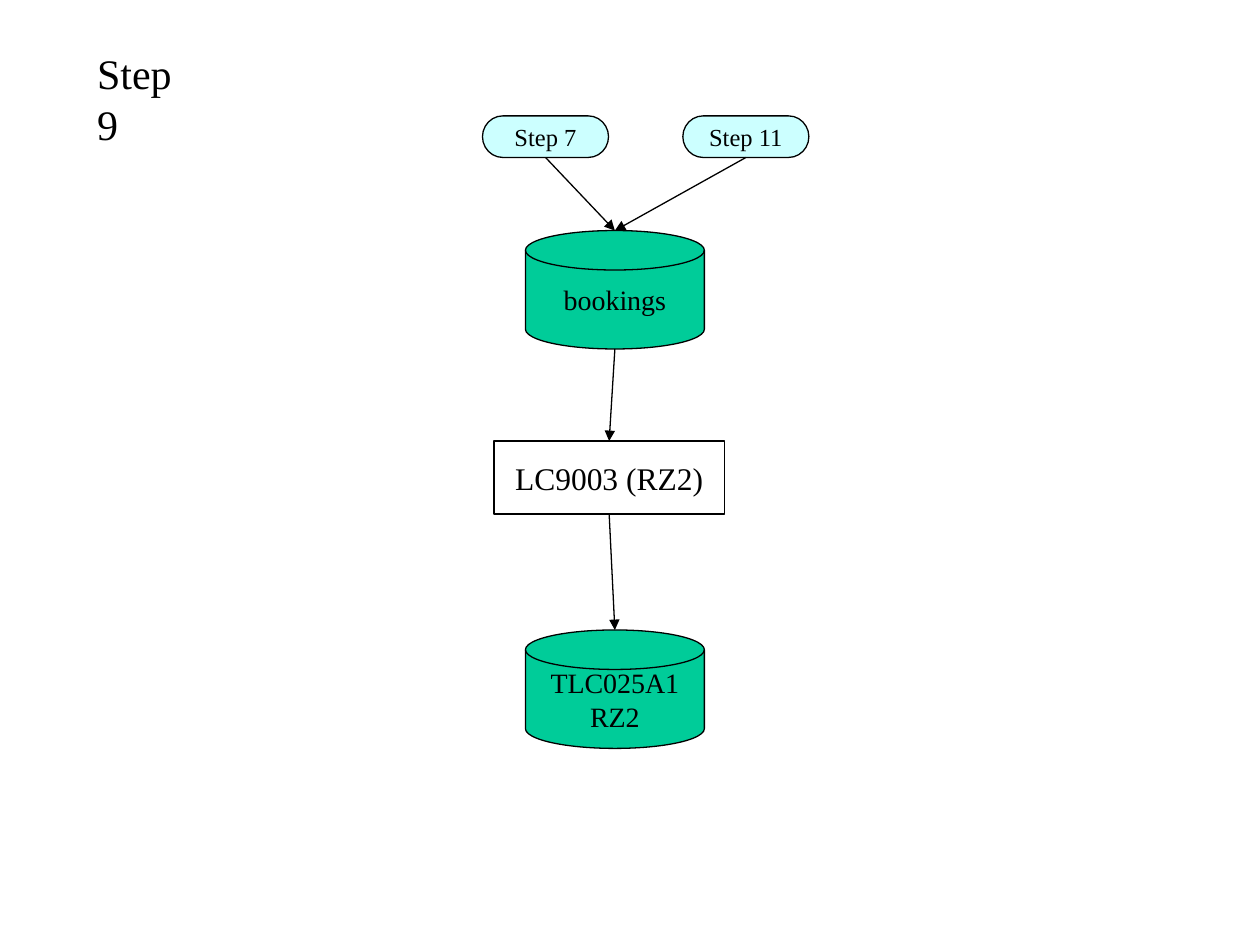
from pptx import Presentation
from pptx.dml.color import RGBColor
from pptx.enum.shapes import MSO_CONNECTOR, MSO_SHAPE
from pptx.enum.text import MSO_ANCHOR, MSO_AUTO_SIZE, PP_ALIGN
from pptx.oxml.ns import qn
from pptx.util import Inches, Pt
from lxml.etree import SubElement

FONT = "Times New Roman"
INK = "000000"
MINT = "00CC99"
PALE = "CCFFFF"


def color(code):
    """Turn a hex string into a colour."""
    return RGBColor.from_string(code)


def write(frame, lines, size, align):
    """Write each line as a paragraph of one run."""
    frame.word_wrap = False
    for i, line in enumerate(lines):
        para = frame.paragraphs[0] if i == 0 else frame.add_paragraph()
        para.alignment = align
        run = para.add_run()
        run.text = line
        run.font.name = FONT
        run.font.size = Pt(size)
        run.font.color.rgb = color(INK)


def add_title(slide, box, text):
    """Place the title placeholder in the box."""
    title = slide.shapes.title
    title.left, title.top, title.width, title.height = map(Inches, box)
    frame = title.text_frame
    write(frame, [text], 24, PP_ALIGN.LEFT)
    frame.auto_size = MSO_AUTO_SIZE.NONE
    frame.vertical_anchor = MSO_ANCHOR.TOP


def add_node(slide, kind, box, lines, size, fill=None):
    """Draw one outlined node with centred text."""
    node = slide.shapes.add_shape(kind, *map(Inches, box))
    node.shadow.inherit = False
    if fill:
        node.fill.solid()
        node.fill.fore_color.rgb = color(fill)
    else:
        node.fill.background()
    node.line.color.rgb = color(INK)
    node.line.width = Pt(0.75)
    node.text_frame.vertical_anchor = MSO_ANCHOR.MIDDLE
    write(node.text_frame, lines, size, PP_ALIGN.CENTER)
    return node


def add_arrow(slide, start, end):
    """Join the bottom of one node to the top of the next."""
    arrow = slide.shapes.add_connector(
        MSO_CONNECTOR.STRAIGHT,
        start.left + start.width // 2, start.top + start.height,
        end.left + end.width // 2, end.top)
    arrow.line.color.rgb = color(INK)
    arrow.line.width = Pt(0.75)
    SubElement(arrow.line._get_or_add_ln(), qn("a:tailEnd"), type="triangle")
    SubElement(arrow._element.spPr, qn("a:effectLst"))


def add_flow(slide, box):
    """Draw the flow from the steps down to the target table."""
    left, top, width, height = box
    disk_w, disk_h = 1.42, 0.94
    disk_x = left + 0.34
    pill, disk = MSO_SHAPE.FLOWCHART_TERMINATOR, MSO_SHAPE.FLOWCHART_MAGNETIC_DISK
    steps = [
        add_node(slide, pill, (x, top, 1, 0.33), [text], 14, PALE)
        for x, text in ((left, "Step 7"), (left + width - 1, "Step 11"))]
    source = add_node(slide, disk, (disk_x, top + 0.91, disk_w, disk_h),
                      ["bookings"], 16, MINT)
    job = add_node(slide, MSO_SHAPE.RECTANGLE, (left + 0.09, top + 2.58, 1.83, 0.58),
                   ["LC9003 (RZ2)"], 18)
    target = add_node(slide, disk, (disk_x, top + height - disk_h, disk_w, disk_h),
                      ["TLC025A1", "RZ2"], 16, MINT)
    links = [(step, source) for step in steps] + [(source, job), (job, target)]
    for start, end in links:
        add_arrow(slide, start, end)


def main():
    """Build and save the slide."""
    deck = Presentation()
    deck.slide_width, deck.slide_height = Inches(10), Inches(7.5)
    slide = deck.slides.add_slide(deck.slide_layouts[5])
    add_title(slide, (0.67, 0.33, 1.04, 0.5), "Step 9")
    add_flow(slide, (3.83, 0.92, 2.59, 5.02))
    deck.save("out.pptx")


if __name__ == "__main__":
    main()
